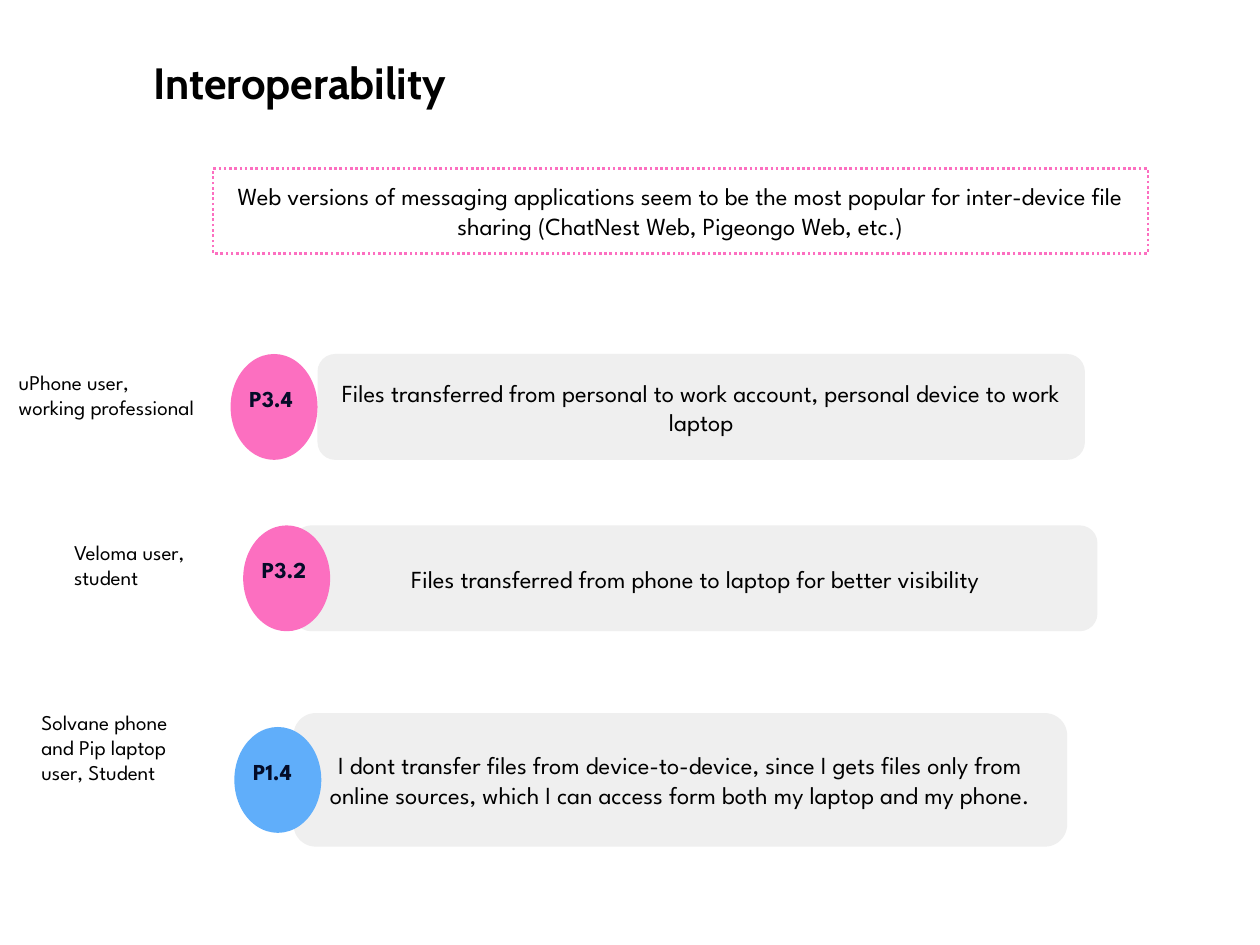
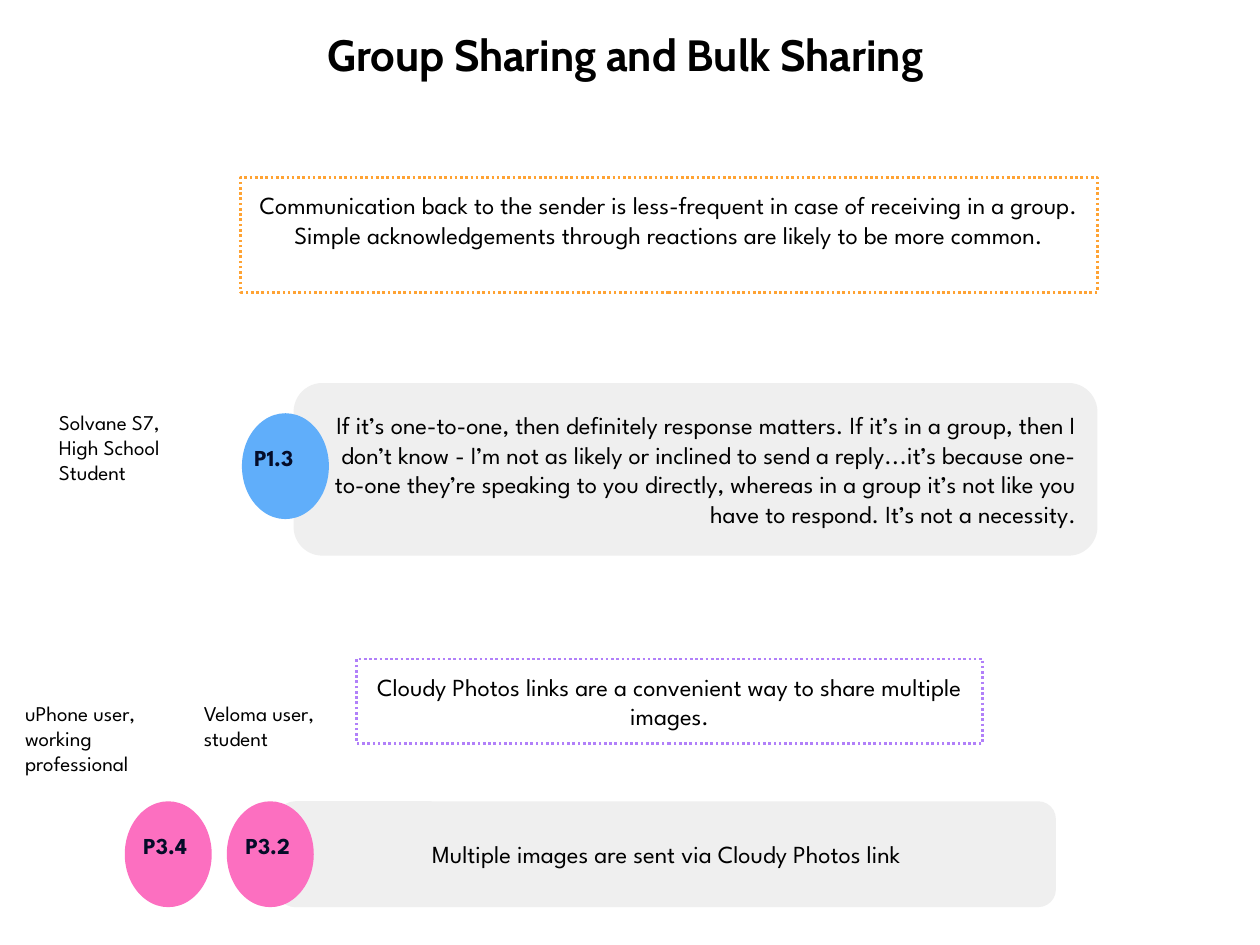
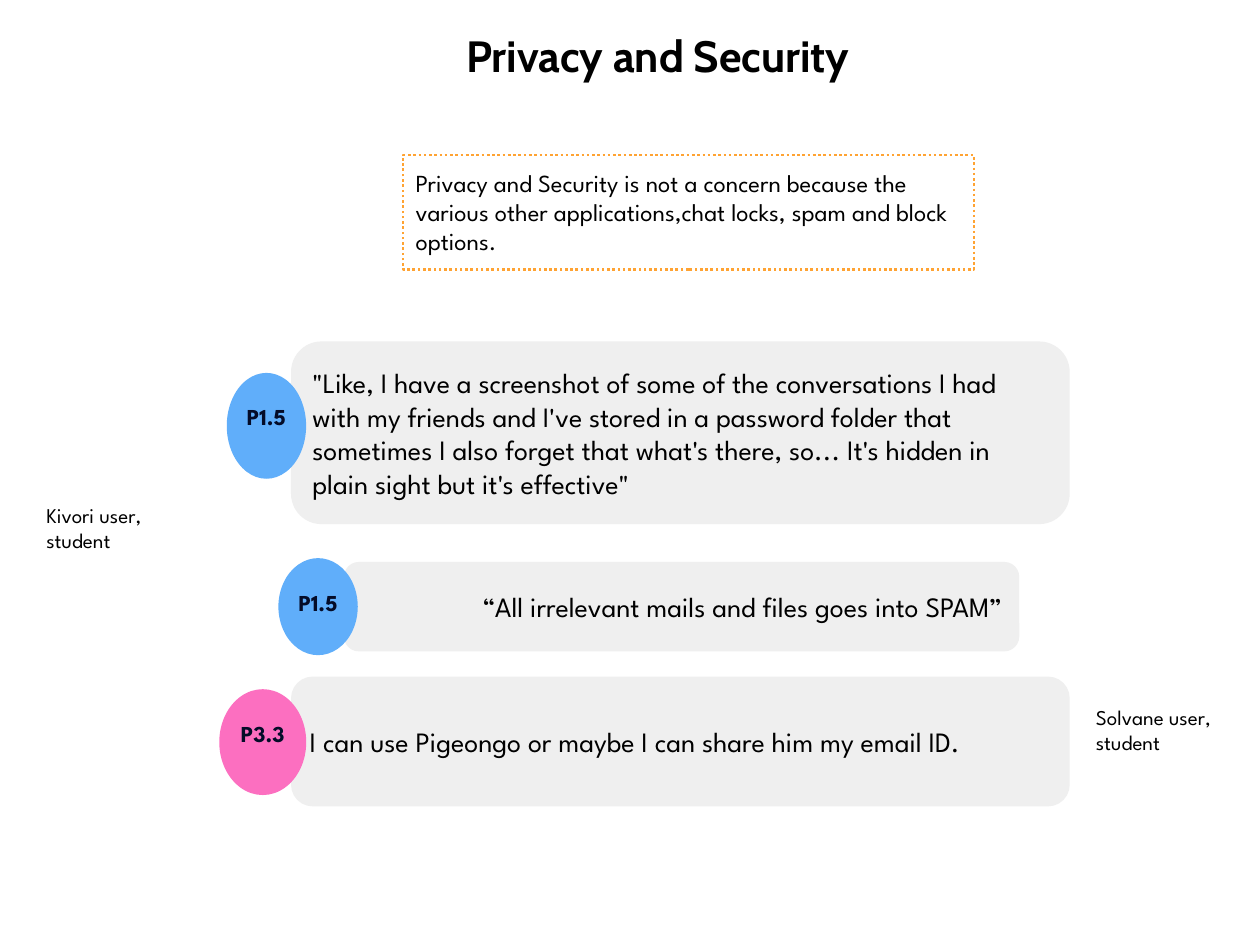
from dataclasses import dataclass

from pptx import Presentation
from pptx.dml.color import RGBColor
from pptx.enum import dml, shapes, text
from pptx.util import Inches, Pt

BLACK = RGBColor(0x00, 0x00, 0x00)
NAVY = RGBColor(0x04, 0x0C, 0x28)
GREY = RGBColor(0xEF, 0xEF, 0xEF)
PINK = RGBColor(0xFC, 0x6F, 0xC0)
BLUE = RGBColor(0x60, 0xAE, 0xFA)
ORANGE = RGBColor(0xFF, 0xA3, 0x33)
PURPLE = RGBColor(0xB1, 0x80, 0xF9)

TITLE_FONT = "Cabin"
BODY_FONT = "League Spartan"
MARGIN = 0.1
LABEL_DROP = 0.14
LABEL_HEIGHT = 0.42

LEFT = text.PP_ALIGN.LEFT
CENTER = text.PP_ALIGN.CENTER
RIGHT = text.PP_ALIGN.RIGHT
TOP = text.MSO_ANCHOR.TOP
MIDDLE = text.MSO_ANCHOR.MIDDLE


@dataclass
class Badge:
    """A participant's oval; dx and dy are measured from the quote's corner."""
    code: str
    color: RGBColor
    dx: float
    dy: float = 0
    width: float = 0.69
    height: float = 0.84
    label_shift: float = 0
    align: int = LEFT


@dataclass
class Note:
    """A participant's description, measured from the quote's corner."""
    lines: list
    dx: float
    dy: float
    width: float
    height: float = 0.61


def write(shape, lines, size, align=LEFT, anchor=TOP, color=BLACK,
          font=BODY_FONT, bold=False):
    frame = shape.text_frame
    frame.word_wrap = True
    frame.vertical_anchor = anchor
    frame.margin_left = frame.margin_right = Inches(MARGIN)
    frame.margin_top = frame.margin_bottom = Inches(MARGIN)
    for index, line in enumerate(lines):
        para = frame.add_paragraph() if index else frame.paragraphs[0]
        para.alignment = align
        span = para.add_run()
        span.text = line
        span.font.name = font
        span.font.size = Pt(size)
        span.font.bold = bold
        span.font.color.rgb = color


def add_text(page, box, lines, size, **style):
    write(page.shapes.add_textbox(*map(Inches, box)), lines, size, **style)


def add_outline(page, kind, box, fill=None):
    shape = page.shapes.add_shape(kind, *map(Inches, box))
    shape.shadow.inherit = False
    shape.line.fill.background()
    if fill is None:
        shape.fill.background()
    else:
        shape.fill.solid()
        shape.fill.fore_color.rgb = fill
    return shape


def add_title(page, box, words):
    add_text(page, box, [words], 25, font=TITLE_FONT, bold=True)


def add_finding(page, box, words, color, align=CENTER):
    """Dotted frame with a summary of what was found."""
    frame = add_outline(page, shapes.MSO_SHAPE.RECTANGLE, box)
    frame.line.color.rgb = color
    frame.line.width = Pt(1.5)
    frame.line.dash_style = dml.MSO_LINE.ROUND_DOT
    write(frame, [words], 14, align)


def add_badge(page, left, top, badge):
    add_outline(page, shapes.MSO_SHAPE.OVAL,
                (left, top, badge.width, badge.height), badge.color)
    label = (left + badge.label_shift, top + LABEL_DROP,
             badge.width, LABEL_HEIGHT)
    add_text(page, label, [badge.code], 13, align=badge.align,
             color=NAVY, bold=True)


def add_quote(page, box, words, badges, notes=(), size=14, align=CENTER):
    """Grey card with the participants' badges and notes around it."""
    left, top = box[:2]
    card = add_outline(page, shapes.MSO_SHAPE.FLOWCHART_ALTERNATE_PROCESS,
                       box, GREY)
    write(card, [words], size, align, MIDDLE)
    for badge in badges:
        add_badge(page, left + badge.dx, top + badge.dy, badge)
    for note in notes:
        place = (left + note.dx, top + note.dy, note.width, note.height)
        add_text(page, place, note.lines, 12)


def build_interoperability(page):
    add_title(page, (1.12, 0.34, 10.15, 0.83), "Interoperability")
    add_finding(page, (1.69, 1.34, 7.42, 0.67),
                "Web versions of messaging applications seem to be the most "
                "popular for inter-device file sharing (ChatNest Web, "
                "Pigeongo Web, etc.)", PINK)
    add_quote(page, (2.52, 2.81, 6.09, 0.84),
              "Files transferred from personal to work account, personal "
              "device to work laptop",
              [Badge("P3.4", PINK, -0.69, label_shift=0.05)],
              [Note(["uPhone user,", "working professional"],
                    -2.47, 0.02, 1.78)])
    add_quote(page, (2.33, 4.17, 6.38, 0.84),
              "Files transferred from phone to laptop for better visibility",
              [Badge("P3.2", PINK, -0.4, label_shift=0.05)],
              [Note(["Veloma user, student"], -1.84, 0.01, 1.34)])
    add_quote(page, (2.33, 5.66, 6.14, 1.06),
              "I dont transfer files from device-to-device, since I gets "
              "files only from online sources, which I can access form both "
              "my laptop and my phone.",
              [Badge("P1.4", BLUE, -0.47, 0.11, label_shift=0.05)],
              [Note(["Solvane phone and Pip laptop user, Student"],
                    -2.1, -0.13, 1.23, 1.01)])


def build_sharing(page):
    add_title(page, (2.5, 0.12, 5.64, 0.83), "Group Sharing and Bulk Sharing")
    add_finding(page, (1.91, 1.41, 6.8, 0.91),
                "Communication back to the sender is less-frequent in case "
                "of receiving in a group. Simple acknowledgements through "
                "reactions are likely to be more common.", ORANGE)
    add_quote(page, (2.33, 3.04, 6.38, 1.37),
              "If it’s one-to-one, then definitely response matters. If it’s "
              "in a group, then I don’t know - I’m not as likely or inclined "
              "to send a reply...it’s because one-to-one they’re speaking to "
              "you directly, whereas in a group it’s not like you have to "
              "respond. It’s not a necessity.",
              [Badge("P1.3", BLUE, -0.41, 0.24)],
              [Note(["Solvane S7, High School Student"],
                    -1.96, 0.11, 1.23, 0.81)], align=RIGHT)
    add_finding(page, (2.83, 5.23, 4.97, 0.67),
                "Cloudy Photos links are a convenient way to share multiple "
                "images.", PURPLE)
    add_quote(page, (2.2, 6.36, 6.18, 0.84),
              "Multiple images are sent via Cloudy Photos link",
              [Badge("P3.2", PINK, -0.4, label_shift=0.05),
               Badge("P3.4", PINK, -1.21, label_shift=0.05)],
              [Note(["uPhone user,", "working professional"],
                    -2.1, -0.9, 1.45, 0.81),
               Note(["Veloma user,", "student"], -0.68, -0.9, 1.17)])


def build_privacy(page):
    add_title(page, (3.6, 0.13, 3.92, 0.83), "Privacy and Security")
    add_finding(page, (3.2, 1.23, 4.53, 0.91),
                "Privacy and Security is not a concern because the various "
                "other applications,chat locks, spam and block options.",
                ORANGE, LEFT)
    add_quote(page, (2.31, 2.71, 6.18, 1.45),
              "\"Like, I have a screenshot of some of the conversations I "
              "had with my friends and I've stored in a password folder that "
              "sometimes I also forget that what's there, so... It's hidden "
              "in plain sight but it's effective\"",
              [Badge("P1.5", BLUE, -0.51, 0.25, width=0.63, align=CENTER)],
              size=16, align=LEFT)
    add_quote(page, (2.73, 4.46, 5.36, 0.71),
              "“All irrelevant mails and files goes into SPAM”",
              [Badge("P1.5", BLUE, -0.52, -0.03, 0.63, 0.77, align=CENTER)],
              [Note(["Kivori user,", "student"], -2.46, -0.57, 1.4)],
              size=16, align=RIGHT)
    add_quote(page, (2.31, 5.37, 6.18, 1.03),
              "I can use Pigeongo or maybe I can share him my email ID.",
              [Badge("P3.3", PINK, -0.57, 0.1, align=CENTER)],
              [Note(["Solvane user,", "student"], 6.29, 0.12, 1.4)],
              size=16, align=LEFT)


def main():
    deck = Presentation()
    deck.slide_width, deck.slide_height = Inches(10), Inches(7.5)
    for build in (build_interoperability, build_sharing, build_privacy):
        build(deck.slides.add_slide(deck.slide_layouts[6]))
    deck.save("out.pptx")


if __name__ == "__main__":
    main()
